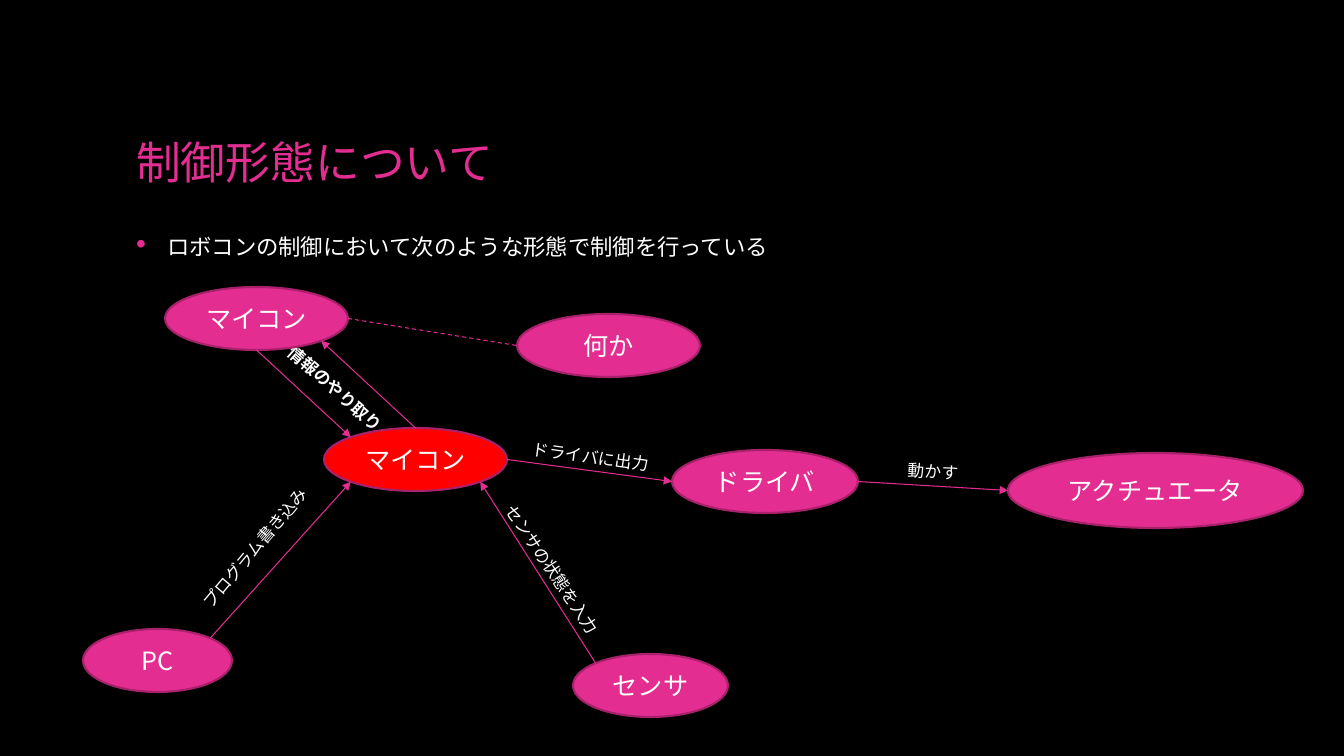
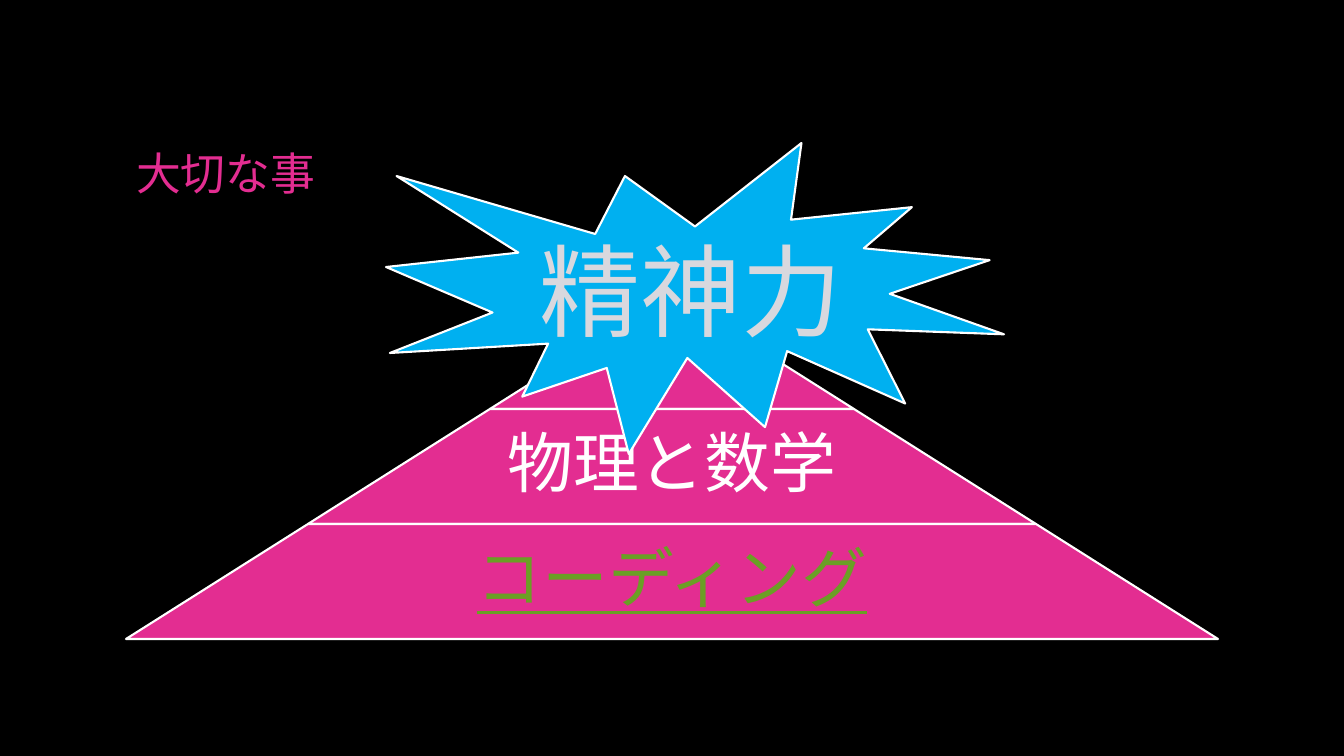
from math import cos, radians, sin

from lxml import etree
from pptx import Presentation
from pptx.dml.color import RGBColor
from pptx.enum.dml import MSO_LINE
from pptx.enum.shapes import MSO_CONNECTOR, MSO_SHAPE
from pptx.enum.text import MSO_ANCHOR, MSO_AUTO_SIZE, PP_ALIGN
from pptx.oxml.ns import qn
from pptx.util import Pt

ELLIPSE, TRAPEZOID, BURST = MSO_SHAPE.OVAL, MSO_SHAPE.TRAPEZOID, MSO_SHAPE.EXPLOSION1
STRAIGHT, DASH = MSO_CONNECTOR.STRAIGHT, MSO_LINE.DASH
LEFT, CENTER, MIDDLE = PP_ALIGN.LEFT, PP_ALIGN.CENTER, MSO_ANCHOR.MIDDLE
NO_FIT, GROW = MSO_AUTO_SIZE.NONE, MSO_AUTO_SIZE.SHAPE_TO_FIT_TEXT

# Shared scale, colours and text formats
PX = 914400 / 100.8
FONT = "Noto Sans CJK JP"
BLACK, WHITE, PINK, PLUM = "000000", "FFFFFF", "E32D91", "A8216B"
RED, BLUE, GREEN, SILVER = "FF0000", "00B0F0", "6B9F25", "D8D8DE"
TITLE_FRAME = {"vertical_anchor": MIDDLE, "word_wrap": True, "auto_size": NO_FIT}
LABEL_FRAME = {"word_wrap": False, "auto_size": GROW}
LEVEL_FRAME = dict(TITLE_FRAME, **{f"margin_{side}": round(7 * PX)
                                   for side in ("left", "top", "right", "bottom")})
TITLE_FONT = {"size": Pt(32)}
rgb = RGBColor.from_string


def write(shape, text, color, font, frame=TITLE_FRAME, align=CENTER, box=None):
    """Fill a shape with one formatted paragraph, moving it to box if given."""
    if box:
        for side, length in zip(("left", "top", "width", "height"), box):
            setattr(shape, side, round(length * PX))
    for key, value in frame.items():
        setattr(shape.text_frame, key, value)
    paragraph = shape.text_frame.paragraphs[0]
    paragraph.alignment = align
    run = paragraph.add_run()
    run.text = text
    run.font.name = FONT
    run.font.color.rgb = rgb(color)
    for key, value in font.items():
        setattr(run.font, key, value)
    etree.SubElement(run.font._element, qn("a:ea"), typeface=FONT)
    return paragraph


def draw(shapes, kind, box, fill, outline):
    """Add a flat preset shape."""
    shape = shapes.add_shape(kind, *(round(length * PX) for length in box))
    shape.shadow.inherit = False
    shape.fill.solid()
    shape.fill.fore_color.rgb = rgb(fill)
    shape.line.color.rgb = rgb(outline)
    shape.line.width = Pt(1.5)
    return shape


prs = Presentation()
prs.slide_width, prs.slide_height = round(1344 * PX), round(756 * PX)
background = prs.slide_master.background.fill
background.solid()
background.fore_color.rgb = rgb(BLACK)

# Slide 1: how the control is arranged
slide = prs.slides.add_slide(prs.slide_layouts[1])
write(slide.shapes.title, "制御形態について", PINK, TITLE_FONT,
      align=LEFT, box=(126, 127, 1092, 69))
bullet = write(slide.placeholders[1], "ロボコンの制御において次のような形態で制御を行っている",
               WHITE, {"size": Pt(20)}, align=LEFT, box=(126, 223, 1092, 42))
bullet.space_before, bullet.space_after = Pt(4), Pt(6)
bullet.runs[0].font._element.set("cap", "small")
bullet_format = bullet._p.get_or_add_pPr()
bullet_format.set("marL", str(round(31 * PX)))
bullet_format.set("indent", str(round(-31 * PX)))
bullet_color = etree.SubElement(bullet_format, qn("a:buClr"))
etree.SubElement(bullet_color, qn("a:srgbClr"), val=PINK)
etree.SubElement(bullet_format, qn("a:buChar"), char="•")

# Labels along the links, behind the nodes
for text, box, rotation, bold in (
    ("プログラム書き込み", (169, 531, 175, 30), 310.2, False),
    ("センサの状態を入力", (466, 556, 175, 30), 56.4, False),
    ("情報のやり取り", (265, 378, 151, 30), 41.6, True),
    ("ドライバに出力", (522, 442, 143, 30), 7.9, False),
    ("動かす", (898, 457, 78, 30), 3.6, False),
):
    label = slide.shapes.add_textbox(0, 0, 0, 0)
    write(label, text, WHITE, {"size": Pt(12), "bold": bold}, LABEL_FRAME, LEFT, box)
    label.rotation = rotation

# Nodes
nodes = {}
for key, text, box, fill in (
    ("main", "マイコン", (324, 428, 183, 63), RED),
    ("driver", "ドライバ", (672, 450, 186, 63), PINK),
    ("actuator", "アクチュエータ", (1008, 453, 295, 75), PINK),
    ("sensor", "センサ", (573, 654, 155, 63), PINK),
    ("pc", "PC", (83, 629, 149, 63), PINK),
    ("sub", "マイコン", (165, 287, 183, 63), PINK),
    ("other", "何か", (517, 314, 183, 63), PINK),
):
    nodes[key] = draw(slide.shapes, ELLIPSE, box, fill, PLUM)
    write(nodes[key], text, WHITE, {"size": Pt(18)})

# Links between ellipse sites, numbered counterclockwise from the top in 45° steps
TOP, TOP_LEFT, MID_LEFT, LOW_LEFT, BOTTOM, LOW_RIGHT, MID_RIGHT, TOP_RIGHT = range(8)
for start, start_site, end, end_site, dashed in (
    ("pc", TOP_RIGHT, "main", LOW_LEFT, False),
    ("sensor", TOP_LEFT, "main", LOW_RIGHT, False),
    ("main", MID_RIGHT, "driver", MID_LEFT, False),
    ("driver", MID_RIGHT, "actuator", MID_LEFT, False),
    ("sub", BOTTOM, "main", TOP_LEFT, False),
    ("main", TOP, "sub", LOW_RIGHT, False),
    ("sub", MID_RIGHT, "other", MID_LEFT, True),
):
    ends = []
    for key, site in ((start, start_site), (end, end_site)):
        node, angle = nodes[key], radians(45 * site)
        ends += [round(node.left + node.width / 2 * (1 - sin(angle))),
                 round(node.top + node.height / 2 * (1 - cos(angle)))]
    link = slide.shapes.add_connector(STRAIGHT, *ends)
    link.line.color.rgb = rgb(PINK)
    link.line.width = Pt(0.75)
    if dashed:
        link.line.dash_style = DASH
    else:
        etree.SubElement(link._element.spPr.find(qn("a:ln")), qn("a:tailEnd"), type="triangle")
    etree.SubElement(link._element.spPr, qn("a:effectLst"))
    joints = link._element.find(".//" + qn("p:cNvCxnSpPr"))
    for tag, key, site in (("a:stCxn", start, start_site), ("a:endCxn", end, end_site)):
        etree.SubElement(joints, qn(tag), id=str(nodes[key].shape_id), idx=str(site))

# Slide 2: what matters
slide = prs.slides.add_slide(prs.slide_layouts[5])
write(slide.shapes.title, "大切な事", PINK, TITLE_FONT,
      align=LEFT, box=(126, 68, 1092, 210))

# Pyramid: each level is one step wider than the one above
CENTER_X, PEAK_Y, STEP, LEVEL_HEIGHT = 672, 294, 364, 115
pyramid = slide.shapes.add_group_shape()
for level, (text, color, underline) in enumerate((
    ("", WHITE, False),
    ("物理と数学", WHITE, False),
    ("コーディング", GREEN, True),
)):
    width, top = STEP * (level + 1), PEAK_Y + LEVEL_HEIGHT * level
    tier = draw(pyramid.shapes, TRAPEZOID,
                (CENTER_X - width / 2, top, width, LEVEL_HEIGHT), PINK, WHITE)
    tier.adjustments[0] = STEP / 2 / LEVEL_HEIGHT
    if text:
        text_width = width * 0.65
        caption = pyramid.shapes.add_textbox(
            *(round(length * PX)
              for length in (CENTER_X - text_width / 2, top, text_width, LEVEL_HEIGHT)))
        write(caption, text, color, {"size": Pt(47), "underline": underline},
              LEVEL_FRAME).line_spacing = 0.9

# Burst over the peak
burst = draw(slide.shapes, BURST, (386, 143, 618, 311), BLUE, WHITE)
write(burst, "精神力", SILVER, {"size": Pt(72)})

prs.save("out.pptx")
